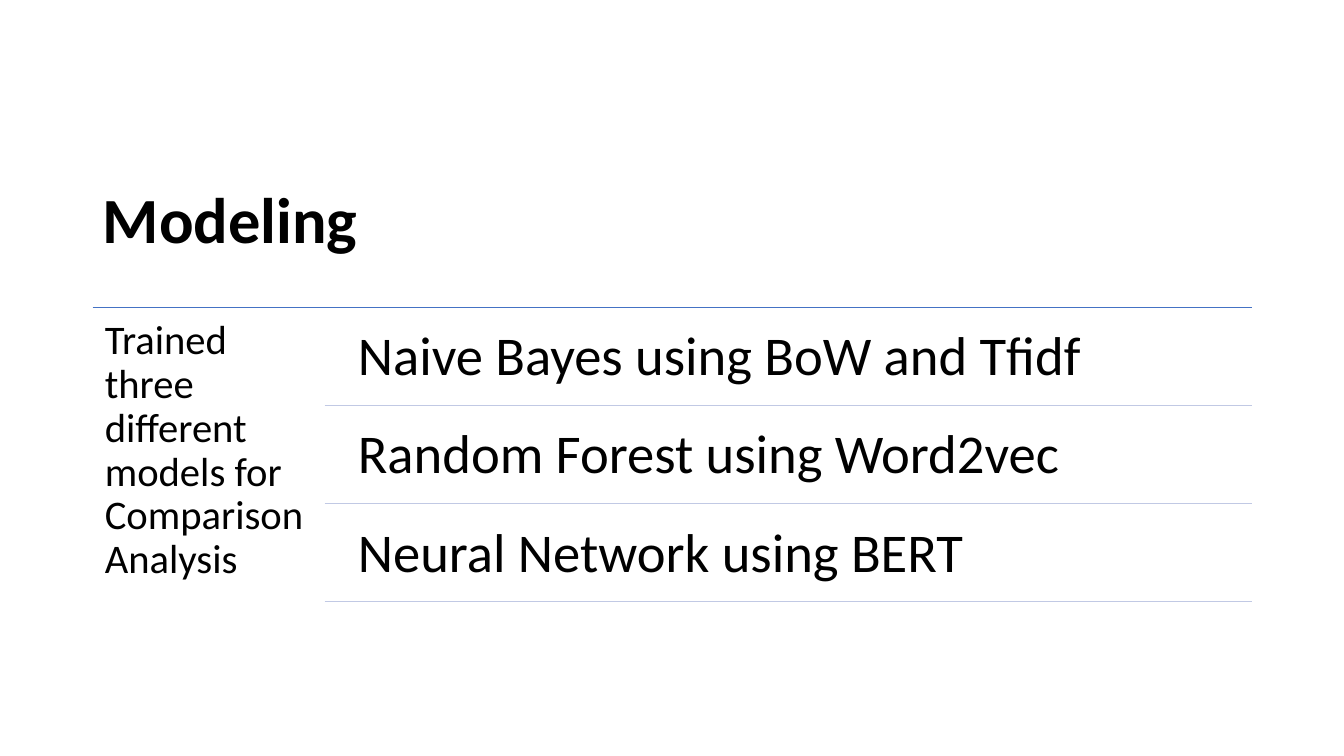
from lxml.etree import SubElement
from pptx import Presentation
from pptx.dml.color import RGBColor
from pptx.enum.shapes import MSO_CONNECTOR
from pptx.enum.text import MSO_ANCHOR, MSO_AUTO_SIZE, PP_ALIGN
from pptx.oxml.ns import qn
from pptx.util import Inches, Pt

BLACK = RGBColor(0x00, 0x00, 0x00)
WHITE = RGBColor(0xFF, 0xFF, 0xFF)
BLUE = RGBColor(0x44, 0x72, 0xC4)
PALE_BLUE = RGBColor(0xC1, 0xC9, 0xE4)

SUMMARY = "Trained three different models for Comparison Analysis"
MODELS = [
    "Naive Bayes using BoW and Tfidf",
    "Random Forest using Word2vec",
    "Neural Network using BERT",
]


def write(frame, words, size, bold=False):
    frame.word_wrap = True
    frame.auto_size = MSO_AUTO_SIZE.NONE
    paragraph = frame.paragraphs[0]
    paragraph.text = words
    paragraph.alignment = PP_ALIGN.LEFT
    paragraph.line_spacing = 0.9
    font = paragraph.font
    font.name, font.size, font.bold = "Calibri", Pt(size), bold
    font.color.rgb = BLACK


def add_rule(slide, left, top, width, color):
    rule = slide.shapes.add_connector(
        MSO_CONNECTOR.STRAIGHT,
        Inches(left), Inches(top), Inches(left + width), Inches(top))
    rule.line.color.rgb = color
    rule.line.width = Pt(1)
    SubElement(rule._element.spPr, qn("a:effectLst"))


def add_text(slide, left, top, width, height, words, size, inset):
    frame = slide.shapes.add_textbox(
        Inches(left), Inches(top), Inches(width), Inches(height)).text_frame
    frame.margin_left = frame.margin_right = Inches(inset)
    frame.margin_top = frame.margin_bottom = Inches(inset)
    frame.vertical_anchor = MSO_ANCHOR.TOP
    write(frame, words, size)


def place_title(slide, left, top, width, height):
    title = slide.shapes.title
    title.left, title.top = Inches(left), Inches(top)
    title.width, title.height = Inches(width), Inches(height)
    title.text_frame.vertical_anchor = MSO_ANCHOR.MIDDLE
    write(title.text_frame, "Modeling", 46, bold=True)


def add_model_list(slide, left, top, width, height):
    """Summary in the left fifth, ruled rows of models in the rest."""
    summary_width = width / 5
    rows_left = left + summary_width
    rows_width = width - summary_width
    indent, gap = 0.17, 0.05
    pitch = (height - gap) / len(MODELS)

    add_rule(slide, left, top, width, BLUE)
    add_text(slide, left, top, summary_width, height, SUMMARY, 29, 0.12)
    for row, model in enumerate(MODELS):
        row_top = top + row * pitch
        add_text(slide, rows_left + indent, row_top + gap,
                 rows_width - indent, pitch - gap, model, 39, 0.16)
        add_rule(slide, rows_left, row_top + pitch, rows_width, PALE_BLUE)


def main():
    deck = Presentation()
    deck.slide_width, deck.slide_height = Inches(13.33), Inches(7.5)
    slide = deck.slides.add_slide(deck.slide_layouts[5])
    slide.background.fill.solid()
    slide.background.fill.fore_color.rgb = WHITE
    place_title(slide, 0.92, 1.48, 11.5, 1.45)
    add_model_list(slide, 0.92, 3.05, 11.5, 2.97)
    deck.save("out.pptx")


if __name__ == "__main__":
    main()
